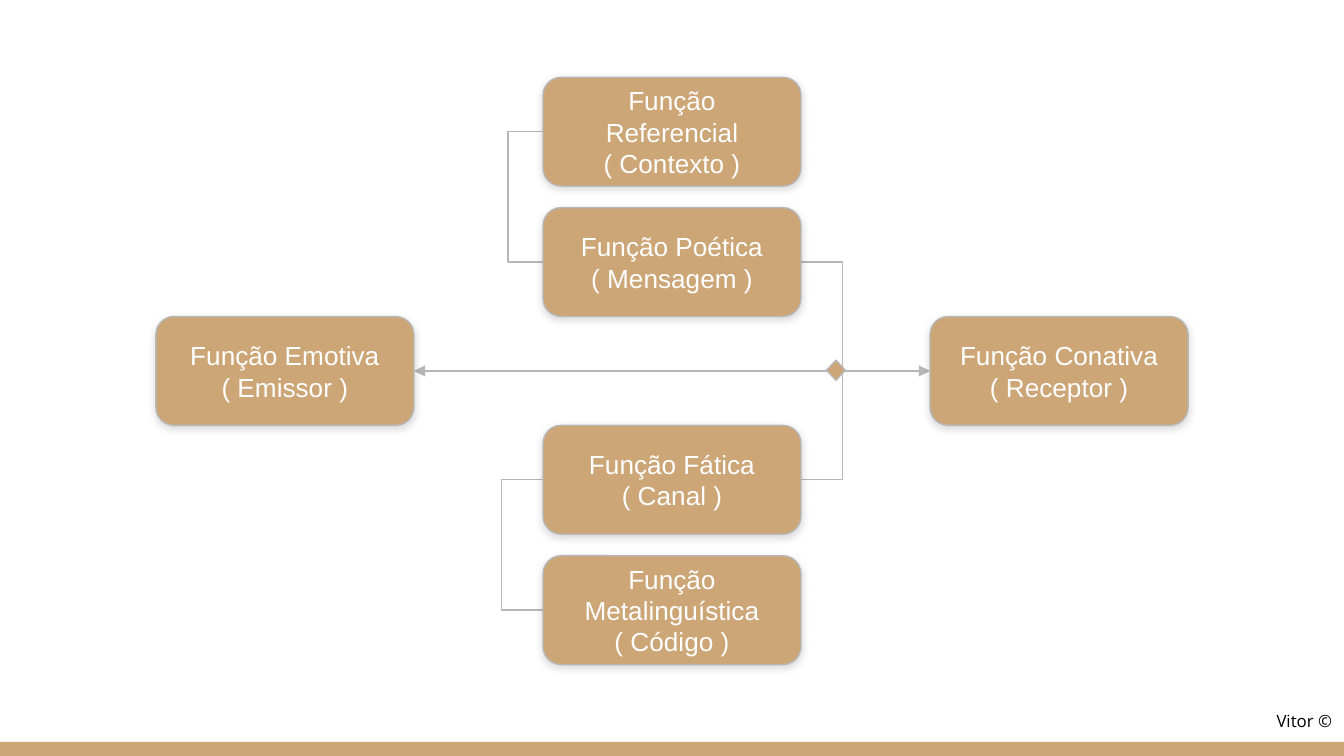
from lxml import etree
from pptx import Presentation, util as u
from pptx.dml.color import RGBColor
from pptx.enum import shapes, text
from pptx.oxml import parse_xml
from pptx.oxml.ns import nsdecls, qn

WIDTH = 10
HEIGHT = WIDTH * 9 / 16
TAN, GREY, WHITE, BLACK = "CCA677", "B7B7B7", "FFFFFF", "000000"
BOX_W, BOX_H, GAP = 1.92, 0.81, 0.16
CENTER_X, CENTER_Y = WIDTH / 2, 2.76
COLUMN_STEP = 2.88
OUTER_ROW = 2 * BOX_H + GAP

# Content: function, element, column and vertical offset from the centre
FUNCTIONS = [
    ("Função Emotiva", "( Emissor )", -1, 0),
    ("Função Conativa", "( Receptor )", 1, 0),
    ("Função Referencial", "( Contexto )", 0, -OUTER_ROW),
    ("Função Poética", "( Mensagem )", 0, -BOX_H),
    ("Função Fática", "( Canal )", 0, BOX_H),
    ("Função Metalinguística", "( Código )", 0, OUTER_ROW),
]
# Brackets: side, upper offset, lower offset, reach beyond the boxes
BRACKETS = [
    (-1, -OUTER_ROW, -BOX_H, 0.26),
    (1, -BOX_H, BOX_H, 0.31),
    (-1, BOX_H, OUTER_ROW, 0.31),
]

deck = Presentation()
deck.slide_width, deck.slide_height = u.Inches(WIDTH), u.Inches(HEIGHT)
page = deck.slides.add_slide(deck.slide_layouts[6])


def color(value):
    return RGBColor.from_string(value)


def add_box(kind, left, top, width, height, outlined=True):
    box = page.shapes.add_shape(kind, *map(u.Inches, (left, top, width, height)))
    box.shadow.inherit = False
    box.fill.solid()
    box.fill.fore_color.rgb = color(TAN)
    if outlined:
        box.line.color.rgb = color(GREY)
        box.line.width = u.Pt(0.75)
    else:
        box.line.fill.background()
    return box


def add_line(kind, x1, y1, x2, y2, weight):
    line = page.shapes.add_connector(kind, *map(u.Inches, (x1, y1, x2, y2)))
    line.line.color.rgb = color(GREY)
    line.line.width = u.Pt(weight)
    etree.SubElement(line._element.spPr, qn("a:effectLst"))
    return line


def set_text(shape, lines, size, font, ink):
    frame = shape.text_frame
    frame.margin_left = frame.margin_right = u.Inches(0.1)
    frame.margin_top = frame.margin_bottom = u.Inches(0.1)
    frame.text = "\n".join(lines)
    for para in frame.paragraphs:
        for span in para.runs:
            span.font.size, span.font.name = u.Pt(size), font
            span.font.color.rgb = color(ink)
    return frame


def add_soft_shadow(shape):
    effects = shape._element.spPr.find(qn("a:effectLst"))
    effects.append(parse_xml(
        f'<a:outerShdw {nsdecls("a")} blurRad="{u.Pt(4.5)}" dist="{u.Pt(1.5)}" '
        'dir="5400000" algn="bl" rotWithShape="0">'
        f'<a:srgbClr val="{BLACK}"><a:alpha val="15000"/></a:srgbClr></a:outerShdw>'))


# Footer band
add_box(shapes.MSO_SHAPE.RECTANGLE, 0, 5.52, WIDTH, 0.11, outlined=False)

# Double arrow between sender and receiver
reach = COLUMN_STEP - BOX_W / 2
arrow = add_line(shapes.MSO_CONNECTOR.STRAIGHT, CENTER_X - reach, CENTER_Y,
                 CENTER_X + reach, CENTER_Y, 1.5)
for end in ("a:headEnd", "a:tailEnd"):
    etree.SubElement(arrow.line._get_or_add_ln(), qn(end), type="triangle")

# Brackets run behind the boxes and turn outside them
for side, upper, lower, overhang in BRACKETS:
    half = side * BOX_W / 2
    bracket = add_line(shapes.MSO_CONNECTOR.ELBOW, CENTER_X - half, CENTER_Y + upper,
                       CENTER_X + half, CENTER_Y + lower, 0.75)
    guides = bracket._element.spPr.find(qn("a:prstGeom")).get_or_add_avLst()
    turn = round(100000 * (1 + overhang / BOX_W))
    etree.SubElement(guides, qn("a:gd"), name="adj1", fmla=f"val {turn}")

# Function boxes
for name, element, column, offset in FUNCTIONS:
    box = add_box(shapes.MSO_SHAPE.ROUNDED_RECTANGLE,
                  CENTER_X + column * COLUMN_STEP - BOX_W / 2,
                  CENTER_Y + offset - BOX_H / 2, BOX_W, BOX_H)
    add_soft_shadow(box)
    frame = set_text(box, (name, element), 14, "Arial", WHITE)
    frame.word_wrap = True
    frame.vertical_anchor = text.MSO_ANCHOR.MIDDLE
    for para in frame.paragraphs:
        para.alignment = text.PP_ALIGN.CENTER

# Junction and signature
add_box(shapes.MSO_SHAPE.DIAMOND, 6.15, 2.68, 0.14, 0.15)
signature = page.shapes.add_textbox(*map(u.Inches, (9.4, 5.21, 0.66, 0.35)))
set_text(signature, ["Vitor ©"], 9, "Open Sans", BLACK).word_wrap = False

deck.save("out.pptx")
